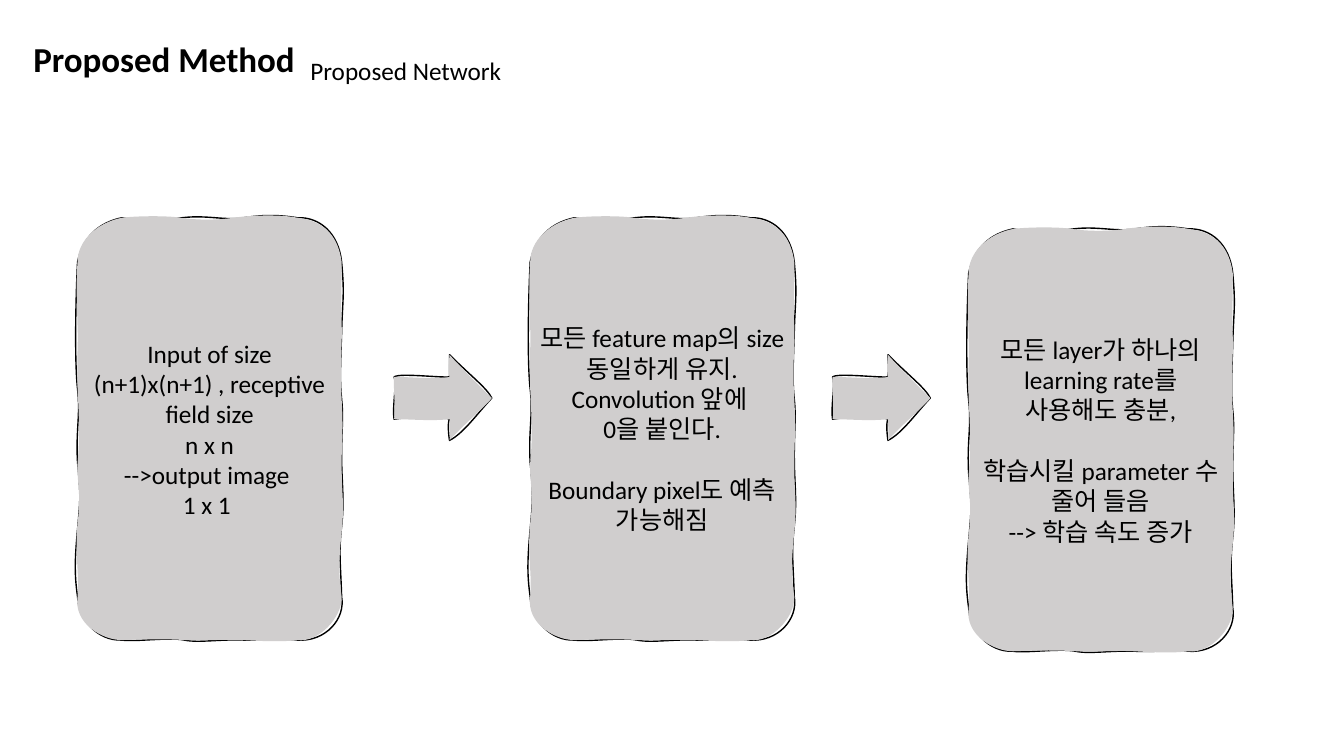
from lxml import etree
from pptx import Presentation
from pptx.dml.color import RGBColor
from pptx.enum import text as t
from pptx.oxml import ns
from pptx.util import Pt

# Curves in hundredths of an inch: a start point, then cubic triples
BOX = (262, 419)
BOX_EDGE = """0 44
5 20 20 5 44 0  59 3 79 3 104 0  128 -3 146 3 165 0  184 -3 199 -3 218 0
240 -1 259 15 262 44  265 77 263 80 262 113  261 147 260 160 262 180
264 199 262 209 262 236  262 263 265 279 262 306  259 333 261 342 262 376
266 398 246 421 218 419  201 417 189 420 165 419  142 418 120 422 106 419
91 416 57 421 44 419  20 420 1 399 0 376  -3 355 -3 341 0 309
3 277 3 274 0 243  -2 212 3 196 0 170  -3 144 -2 82 0 44"""
BOX_FILL = """0 44
0 23 19 5 44 0  61 -2 90 -2 102 0  115 2 135 3 155 0  175 -3 205 -3 218 0
246 3 259 20 262 44  262 71 261 93 262 107  263 120 260 145 262 180
264 214 262 217 262 246  262 275 265 283 262 312  259 342 259 354 262 376
263 396 239 422 218 419  204 421 181 420 164 419  146 418 125 420 107 419
89 418 72 418 44 419  25 419 -4 403 0 376  2 351 -3 334 0 303
4 272 -1 261 0 243  2 224 2 206 0 170  -1 134 1 122 0 110
0 98 -2 67 0 44"""
ARROW = (97, 84)
ARROW_EDGE = """0 22
6 18 46 23 55 22  55 15 55 3 55 0  76 21 92 33 97 43  82 59 69 78 55 85
54 79 53 67 55 64  43 59 22 61 0 64  -2 52 3 28 0 22"""
ARROW_FILL = """0 22
16 22 46 25 55 22  53 15 55 3 55 0  69 16 92 38 97 43  93 49 63 75 55 85
56 77 55 69 55 64  36 66 18 64 0 64  2 57 -1 31 0 22"""


def color(code):
    return RGBColor.from_string(code)


def add_path(paths, size, curve, **flags):
    """Append one closed path of cubic curves to a path list."""
    def tag(up, name, **attrs):
        return etree.SubElement(up, ns.qn("a:" + name), **attrs)

    nums = curve.split()
    pts = list(zip(nums[::2], nums[1::2]))
    path = tag(paths, "path", w=str(size[0]), h=str(size[1]), **flags)
    steps = [("moveTo", pts[:1])]
    steps += [("cubicBezTo", pts[i:i + 3]) for i in range(1, len(pts), 3)]
    for name, group in steps:
        step = tag(path, name)
        for x, y in group:
            tag(step, "pt", x=x, y=y)
    tag(path, "close")


class Deck:
    font, ink, gray = "Calibri", "000000", "D0CECE"

    def __init__(self):
        self.prs = Presentation()
        self.prs.slide_width, self.prs.slide_height = Pt(960), Pt(540)
        self.slide = self.prs.slides.add_slide(self.prs.slide_layouts[5])

    def style(self, frame, size, bold=False, align=t.PP_ALIGN.LEFT):
        frame.word_wrap = True
        for para in frame.paragraphs:
            para.alignment = align
            for run in para.runs:
                run.font.name, run.font.size = self.font, Pt(size)
                run.font.bold = bold
                run.font.color.rgb = color(self.ink)

    def title(self, words, x, y, w, h):
        shape = self.slide.shapes.title
        shape.left, shape.top, shape.width, shape.height = map(Pt, (x, y, w, h))
        frame = shape.text_frame
        frame.text = words
        frame.auto_size = t.MSO_AUTO_SIZE.NONE
        frame.vertical_anchor = t.MSO_ANCHOR.MIDDLE
        frame.paragraphs[0].line_spacing = 0.9
        self.style(frame, 25, bold=True)

    def label(self, words, x, y, w, h):
        frame = self.slide.shapes.add_textbox(*map(Pt, (x, y, w, h))).text_frame
        frame.text = words
        frame.auto_size = t.MSO_AUTO_SIZE.SHAPE_TO_FIT_TEXT
        frame.paragraphs[0].line_spacing = 1.5
        self.style(frame, 18)

    def sketch(self, x, y, size, edge, fill):
        """Hand-drawn shape: a filled path under a slightly different edge."""
        w, h = (Pt(n * 0.72) for n in size)
        pen = self.slide.shapes.build_freeform(0, 0)
        pen.add_line_segments([(w, 0), (w, h), (0, h)])
        shape = pen.convert_to_shape(Pt(x), Pt(y))
        paths = shape._element.spPr.find(".//" + ns.qn("a:pathLst"))
        paths.clear()
        add_path(paths, size, edge, fill="none")
        add_path(paths, size, fill, stroke="0")
        shape.shadow.inherit = False
        shape.fill.solid()
        shape.fill.fore_color.rgb = color(self.gray)
        shape.line.color.rgb = color(self.ink)
        shape.line.width = Pt(1)
        return shape

    def arrow(self, x, y):
        self.sketch(x, y, ARROW, ARROW_EDGE, ARROW_FILL)

    def box(self, x, y, lines, gap=None):
        """Text box; the line numbered gap stands one line lower."""
        frame = self.sketch(x, y, BOX, BOX_EDGE, BOX_FILL).text_frame
        frame.text = "\n".join(lines)
        frame.vertical_anchor = t.MSO_ANCHOR.MIDDLE
        if gap is not None:
            frame.paragraphs[gap].space_before = Pt(22)
        self.style(frame, 18, align=t.PP_ALIGN.CENTER)


def main():
    deck = Deck()

    # Heading
    deck.title("Proposed Method", 16.6, 15.1, 828, 56.9)
    deck.label("Proposed Network", 214.6, 25.2, 630, 36.7)

    # Steps
    deck.box(55.4, 155.5, [
        "Input of size (n+1)x(n+1) , receptive field size",
        " n x n ", "-->output image ", "1 x 1 "])
    deck.box(378.7, 155.5, [
        "모든 feature map의 size 동일하게 유지.", "Convolution 앞에 ",
        "0을 붙인다.", "Boundary pixel도 예측 가능해짐"], gap=3)
    deck.box(691.9, 163.5, [
        "모든 layer가 하나의 learning rate를 사용해도 충분,",
        "학습시킬 parameter 수 줄어 들음", "--> 학습 속도 증가"], gap=1)

    # Arrows between the steps
    for x in (281.5, 594.7):
        deck.arrow(x, 253.4)

    deck.prs.save("out.pptx")


if __name__ == "__main__":
    main()
